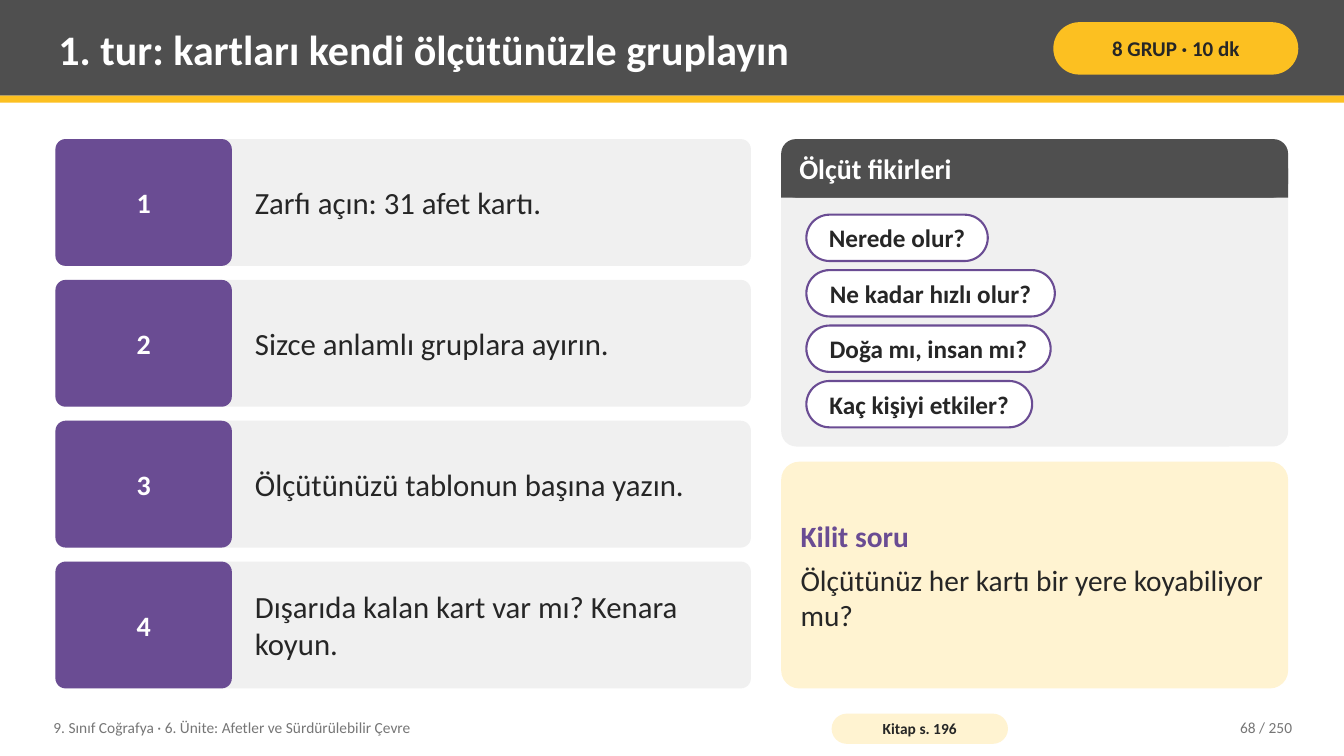
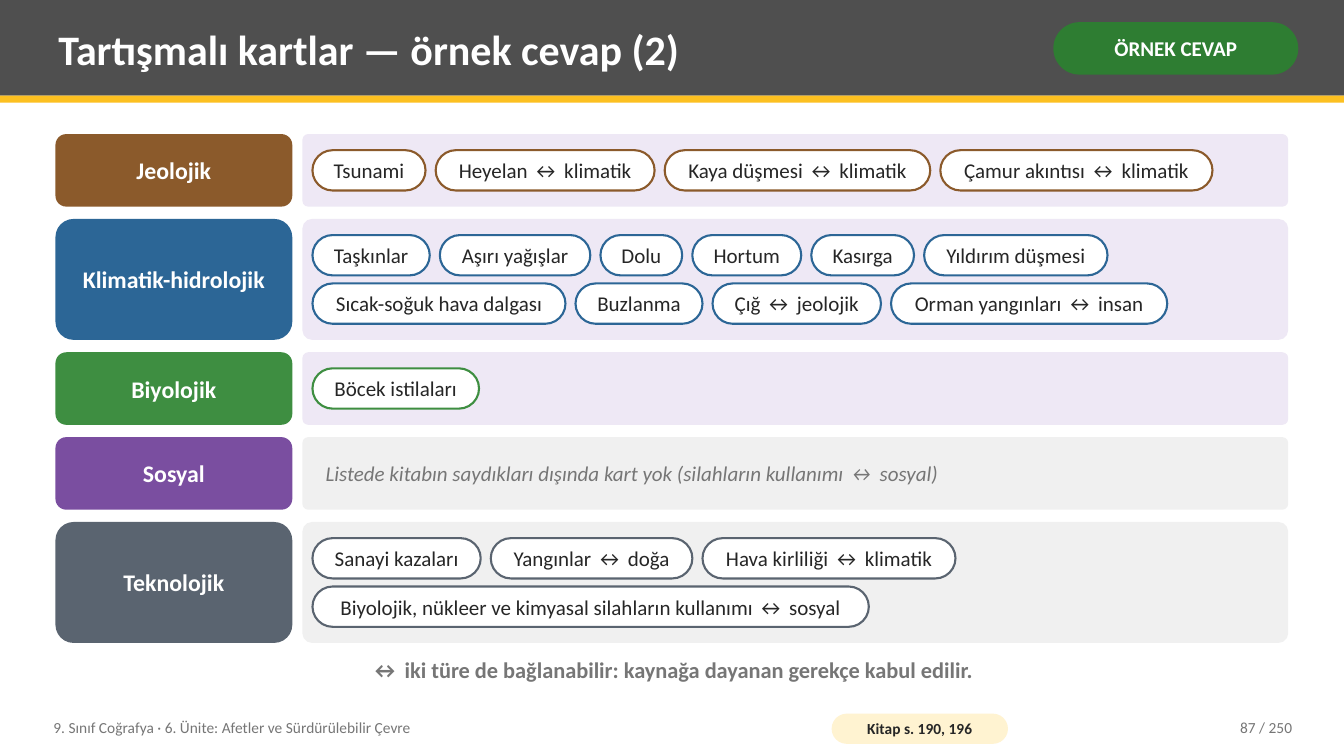
from pptx import Presentation
from pptx.dml.color import RGBColor
from pptx.enum.shapes import MSO_SHAPE
from pptx.enum.text import MSO_ANCHOR, PP_ALIGN
from pptx.util import Pt

WHITE = RGBColor(0xFF, 0xFF, 0xFF)
INK = RGBColor(0x26, 0x26, 0x26)
CHARCOAL = RGBColor(0x4F, 0x4F, 0x4F)
MUTED = RGBColor(0x76, 0x76, 0x76)
LIGHT = RGBColor(0xF0, 0xF0, 0xF0)
LILAC = RGBColor(0xEE, 0xE8, 0xF5)
CREAM = RGBColor(0xFF, 0xF3, 0xD1)
YELLOW = RGBColor(0xFC, 0xC0, 0x21)
PURPLE = RGBColor(0x6A, 0x4C, 0x93)
ANSWER_GREEN = RGBColor(0x2E, 0x7D, 0x32)
BROWN = RGBColor(0x8B, 0x5A, 0x2B)
BLUE = RGBColor(0x2C, 0x66, 0x96)
LEAF = RGBColor(0x3E, 0x8E, 0x41)
VIOLET = RGBColor(0x7A, 0x4E, 0xA0)
SLATE = RGBColor(0x5A, 0x64, 0x70)

PAGE_WIDTH, PAGE_HEIGHT = 960, 540
LEFT, RIGHT = 39.6, 920.16
UNIT = "9. Sınıf Coğrafya · 6. Ünite: Afetler ve Sürdürülebilir Çevre"


class Lesson:
    """Holds the deck style and the current page."""

    font = "Calibri"

    def __init__(self):
        """Start a widescreen deck."""
        self.deck = Presentation()
        self.deck.slide_width = Pt(PAGE_WIDTH)
        self.deck.slide_height = Pt(PAGE_HEIGHT)
        self.page = None

    def add_text(self, shape, paragraphs, align, insets):
        """Fill a shape with (text, size, colour, bold, italic) paragraphs."""
        frame = shape.text_frame
        frame.word_wrap = True
        frame.vertical_anchor = MSO_ANCHOR.MIDDLE
        frame.margin_left = frame.margin_right = Pt(insets[0])
        frame.margin_top = frame.margin_bottom = Pt(insets[1])
        for index, (text, size, colour, bold, italic) in enumerate(paragraphs):
            para = frame.add_paragraph() if index else frame.paragraphs[0]
            para.alignment = align
            span = para.add_run()
            span.text = text
            span.font.name = self.font
            span.font.size = Pt(size)
            span.font.bold = bold
            span.font.italic = italic
            span.font.color.rgb = colour
        return frame

    def panel(self, left, top, width, height, fill, radius=0, line=None):
        """Draw a filled block, rounded when a radius is given."""
        kind = MSO_SHAPE.ROUNDED_RECTANGLE if radius else MSO_SHAPE.RECTANGLE
        shape = self.page.shapes.add_shape(kind, Pt(left), Pt(top), Pt(width), Pt(height))
        shape.shadow.inherit = False
        if radius:
            shape.adjustments[0] = radius
        shape.fill.solid()
        shape.fill.fore_color.rgb = fill
        if line is None:
            shape.line.fill.background()
        else:
            shape.line.color.rgb = line
            shape.line.width = Pt(1.5)
        return shape

    def label(self, left, top, width, height, text, size, colour,
              bold=False, italic=False, align=PP_ALIGN.LEFT):
        """Place a plain line of text."""
        box = self.page.shapes.add_textbox(Pt(left), Pt(top), Pt(width), Pt(height))
        self.add_text(box, [(text, size, colour, bold, italic)], align, (5.76, 2.88))

    def tag(self, left, top, width, height, text, size, fill,
            colour=WHITE, radius=0.5, insets=(3.6, 1.44)):
        """Draw a filled block with a centred bold caption."""
        shape = self.panel(left, top, width, height, fill, radius)
        self.add_text(shape, [(text, size, colour, True, False)], PP_ALIGN.CENTER, insets)

    def pill(self, left, top, width, height, text, size, line, bold=False):
        """Draw a white outlined capsule."""
        shape = self.panel(left, top, width, height, WHITE, 0.5, line)
        self.add_text(shape, [(text, size, INK, bold, False)], PP_ALIGN.CENTER, (4.32, 0))

    def new_page(self, title, badge, badge_fill, badge_colour, source, number):
        """Add a page with its header band, badge and footer."""
        self.page = self.deck.slides.add_slide(self.deck.slide_layouts[6])
        self.panel(0, 0, PAGE_WIDTH, 68.4, CHARCOAL)
        self.panel(0, 68.4, PAGE_WIDTH, 5.04, YELLOW)
        self.label(36, 5.04, 702, 59.04, title, 30, WHITE, bold=True)
        self.tag(752.4, 15.84, 175, 37.44, badge, 15, badge_fill, badge_colour)
        self.label(32.4, 506.9, 547.2, 25.9, UNIT, 11, MUTED)
        self.tag(594, 509.76, 126, 21.6, source, 11, CREAM, INK, insets=(2.88, 0))
        self.label(813.6, 506.9, 115.2, 25.9, f"{number} / 250", 11, MUTED,
                   align=PP_ALIGN.RIGHT)

    def step(self, top, height, number, text):
        """Draw a numbered instruction card."""
        self.panel(LEFT, top, 496.8, height, LIGHT, 0.08)
        self.tag(LEFT, top, 126, height, str(number), 20, PURPLE,
                 radius=0.08, insets=(4.32, 5.76))
        self.label(176.4, top, 352.8, height, text, 22, INK)

    def headed_panel(self, left, top, width, height, heading):
        """Draw a light panel under a dark heading."""
        bar = 41.76
        self.panel(left, top, width, height, LIGHT, 0.05)
        self.panel(left, top, width, bar, CHARCOAL, 0.25)
        self.panel(left, top + bar / 2, width, bar / 2, CHARCOAL)
        self.label(left + 7.2, top, width - 14.4, bar, heading, 20, WHITE, bold=True)

    def question(self, left, top, width, height, heading, text):
        """Draw a cream box with a heading and a question."""
        shape = self.panel(left, top, width, height, CREAM, 0.08)
        frame = self.add_text(shape, [(heading, 21, PURPLE, True, False),
                                      (text, 21, INK, False, False)],
                              PP_ALIGN.LEFT, (10.08, 5.76))
        frame.paragraphs[0].space_after = Pt(6)

    def category(self, top, name, colour, fill, lines, note):
        """Draw a category row with lines of pills and return its height."""
        pitch, pill_height, gap, left = 34.56, 28.8, 7.2, 216
        height = pitch * max(len(lines), 1) + 17.28
        self.tag(LEFT, top, 169.2, height, name, 17, colour,
                 radius=0.15, insets=(3.6, 5.76))
        self.panel(left, top, RIGHT - left, height, fill, 0.08)
        for index, line in enumerate(lines):
            across = left + gap
            for text, width in line:
                self.pill(across, top + 11.52 + index * pitch, width, pill_height,
                          text, 15, colour)
                across += width + gap
        if note:
            self.label(226.8, top, 686.16, height, note, 15, MUTED, italic=True)
        return height


STEPS = [
    "Zarfı açın: 31 afet kartı.",
    "Sizce anlamlı gruplara ayırın.",
    "Ölçütünüzü tablonun başına yazın.",
    "Dışarıda kalan kart var mı? Kenara koyun.",
]

IDEAS = [
    ("Nerede olur?", 129.6),
    ("Ne kadar hızlı olur?", 177.5),
    ("Doğa mı, insan mı?", 174.5),
    ("Kaç kişiyi etkiler?", 161.3),
]

CATEGORIES = [
    ("Jeolojik", BROWN, LILAC, [
        [("Tsunami", 80.8), ("Heyelan ↔ klimatik", 156.4),
         ("Kaya düşmesi ↔ klimatik", 189.7), ("Çamur akıntısı ↔ klimatik", 194.4)],
    ], None),
    ("Klimatik-hidrolojik", BLUE, LILAC, [
        [("Taşkınlar", 83.8), ("Aşırı yağışlar", 107.5), ("Dolu", 58.4),
         ("Hortum", 77.8), ("Kasırga", 73.4), ("Yıldırım düşmesi", 131)],
        [("Sıcak-soğuk hava dalgası", 180.7), ("Buzlanma", 90.7),
         ("Çığ ↔ jeolojik", 120.3), ("Orman yangınları ↔ insan", 197.3)],
    ], None),
    ("Biyolojik", LEAF, LILAC, [[("Böcek istilaları", 119)]], None),
    ("Sosyal", VIOLET, LIGHT, [],
     "Listede kitabın saydıkları dışında kart yok (silahların kullanımı ↔ sosyal)"),
    ("Teknolojik", SLATE, LIGHT, [
        [("Sanayi kazaları", 120.2), ("Yangınlar ↔ doğa", 144),
         ("Hava kirliliği ↔ klimatik", 180.7)],
        [("Biyolojik, nükleer ve kimyasal silahların kullanımı ↔ sosyal", 397.4)],
    ], None),
]


def grouping_page(lesson):
    """Build the grouping task page."""
    lesson.new_page("1. tur: kartları kendi ölçütünüzle gruplayın", "8 GRUP · 10 dk",
                    YELLOW, INK, "Kitap s. 196", 68)
    top, bottom, gap = 99.36, 491.76, 10
    height = (bottom - top - gap * (len(STEPS) - 1)) / len(STEPS)
    for index, text in enumerate(STEPS):
        lesson.step(top + index * (height + gap), height, index + 1, text)
    left = 558
    lesson.headed_panel(left, top, RIGHT - left, 219.6, "Ölçüt fikirleri")
    for index, (text, width) in enumerate(IDEAS):
        lesson.pill(left + 18, 153.36 + index * 39.6, width, 33.12, text, 18,
                    PURPLE, bold=True)
    lesson.question(left, 329.76, RIGHT - left, 162, "Kilit soru",
                    "Ölçütünüz her kartı bir yere koyabiliyor mu?")


def answer_page(lesson):
    """Build the sample answer page."""
    lesson.new_page("Tartışmalı kartlar — örnek cevap (2)", "ÖRNEK CEVAP",
                    ANSWER_GREEN, WHITE, "Kitap s. 190, 196", 87)
    top = 95.76
    for category in CATEGORIES:
        top += lesson.category(top, *category) + 8.8
    lesson.label(LEFT, 462.96, RIGHT - LEFT, 30.24,
                 "↔ iki türe de bağlanabilir: kaynağa dayanan gerekçe kabul edilir.",
                 16, MUTED, bold=True, align=PP_ALIGN.CENTER)


def main():
    """Build and save the deck."""
    lesson = Lesson()
    grouping_page(lesson)
    answer_page(lesson)
    lesson.deck.save("out.pptx")


if __name__ == "__main__":
    main()
